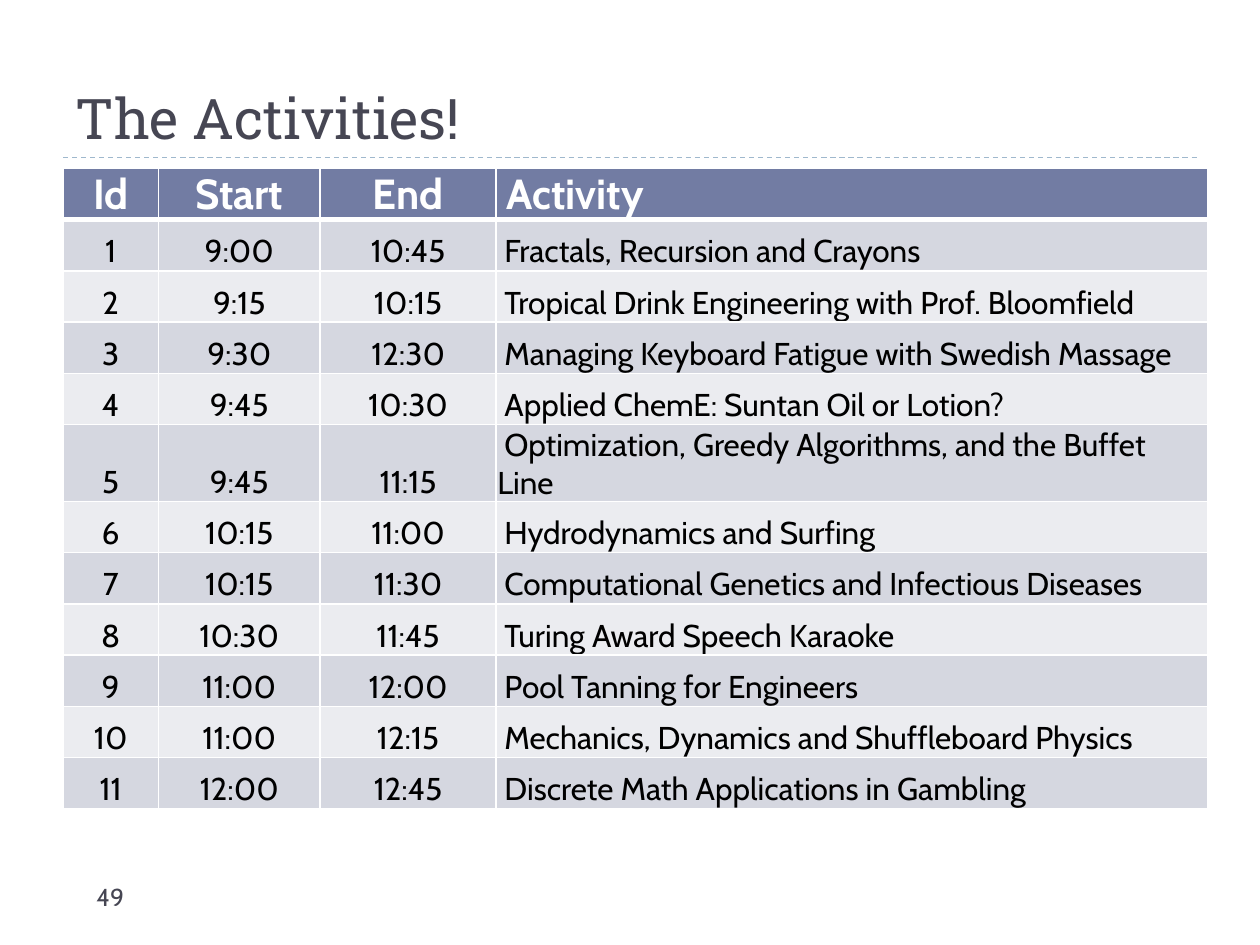
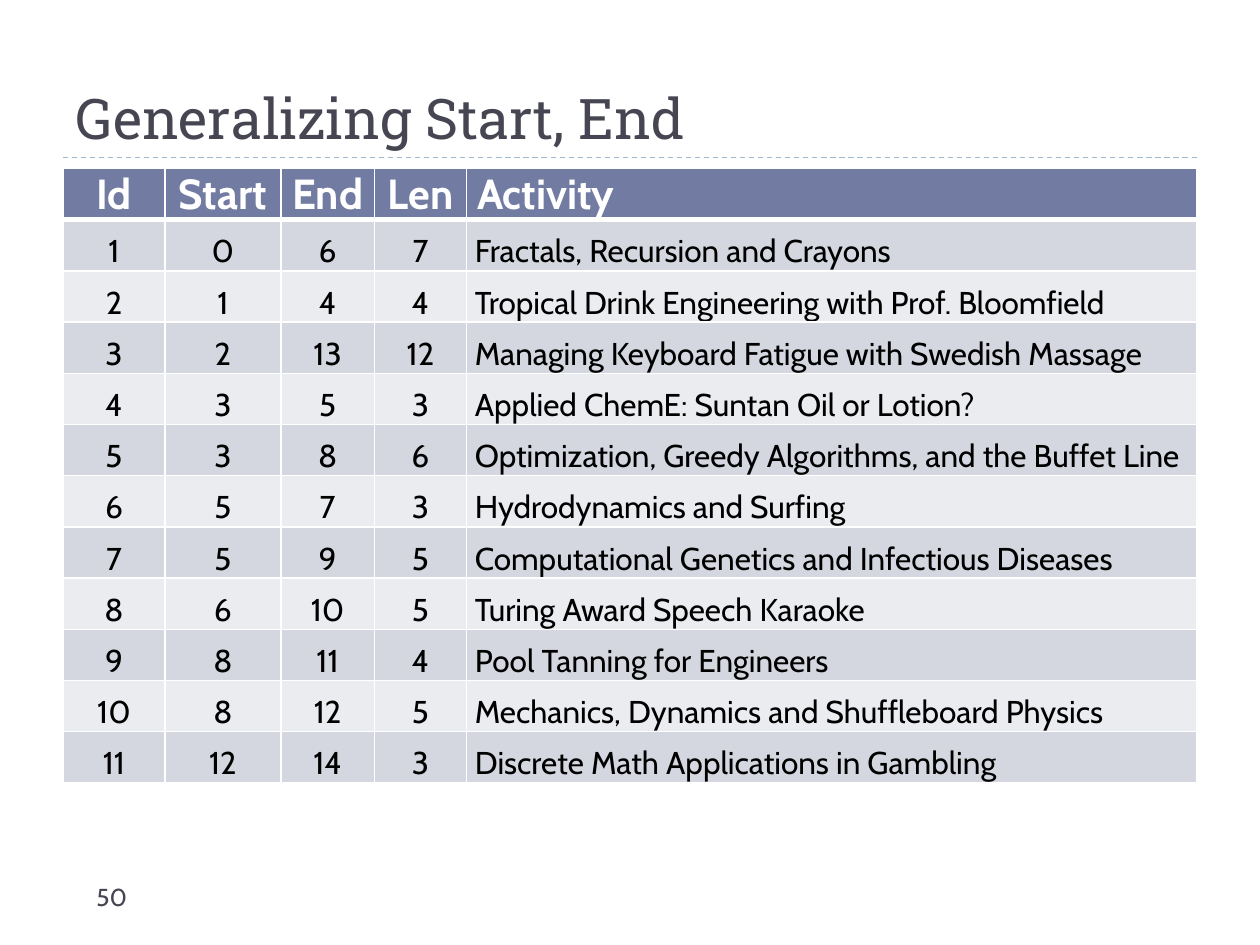
"""Builds two slides that list activities by clock time and by quarter-hour slot."""
from lxml.etree import SubElement
from pptx import Presentation
from pptx.dml.color import RGBColor
from pptx.enum.dml import MSO_LINE
from pptx.enum.shapes import MSO_CONNECTOR
from pptx.enum.text import MSO_ANCHOR, PP_ALIGN
from pptx.oxml.ns import qn
from pptx.util import Pt

ACTIVITIES = [
    ("9:00", "10:45", "Fractals, Recursion and Crayons"),
    ("9:15", "10:15", "Tropical Drink Engineering with Prof. Bloomfield"),
    ("9:30", "12:30", "Managing Keyboard Fatigue with Swedish Massage"),
    ("9:45", "10:30", "Applied ChemE: Suntan Oil or Lotion?"),
    ("9:45", "11:15", "Optimization, Greedy Algorithms, and the Buffet Line"),
    ("10:15", "11:00", "Hydrodynamics and Surfing"),
    ("10:15", "11:30", "Computational Genetics and Infectious Diseases"),
    ("10:30", "11:45", "Turing Award Speech Karaoke"),
    ("11:00", "12:00", "Pool Tanning for Engineers"),
    ("11:00", "12:15", "Mechanics, Dynamics and Shuffleboard Physics"),
    ("12:00", "12:45", "Discrete Math Applications in Gambling"),
]
CLOCK_HEADINGS = ["Id", "Start", "End", "Activity"]
SLOT_HEADINGS = ["Id", "Start", "End", "Len", "Activity"]
CLOCK_WIDTHS = [54.5, 92.5, 100.5, 406.8]
SLOT_WIDTHS = [58.3, 66.2, 53.5, 52.6, 417.4]

INK, RULE, WHITE, BLACK = "464653", "9FB8CD", "FFFFFF", "000000"
HEADING_FILL, ROW_FILLS = "727CA3", ("D5D7E0", "EBECF0")
TITLE_FONT, TEXT_FONT = "Roboto Slab", "Cabin"
LEFT, RULE_TOP, RULE_WIDTH = 36, 90, 648
SCHEDULE_TOP, ROW_HEIGHT = 96, 29.28


def color(hex_value):
    """Turn a hex string into a colour."""
    return RGBColor.from_string(hex_value)


def write(frame, text, size=18, font=TEXT_FONT, ink=INK, bold=False, align=PP_ALIGN.LEFT):
    """Write one formatted paragraph into a text frame."""
    paragraph = frame.paragraphs[0]
    paragraph.alignment = align
    run = paragraph.add_run()
    run.text = text
    run.font.size, run.font.name, run.font.bold = Pt(size), font, bold
    run.font.color.rgb = color(ink)


def add_borders(cell, bottom):
    """Draw white borders, the lower one with its own width."""
    properties = cell._tc.get_or_add_tcPr()
    for side, width in (("lnL", 1), ("lnR", 1), ("lnT", 1), ("lnB", bottom)):
        border = SubElement(properties, qn(f"a:{side}"), w=str(Pt(width)))
        SubElement(SubElement(border, qn("a:solidFill")), qn("a:srgbClr"), val=WHITE)


def slot(time):
    """Count the quarter hours from 9:00 to a clock time."""
    hours, minutes = map(int, time.split(":"))
    return (hours - 9) * 4 + minutes // 15


def clock_rows():
    """List the activities with their clock times."""
    return [(number, *activity) for number, activity in enumerate(ACTIVITIES, 1)]


def slot_rows():
    """List the activities with first slot, last slot and length."""
    rows = []
    for number, start, end, activity in clock_rows():
        first, last = slot(start), slot(end) - 1
        rows.append((number, first, last, last - first + 1, activity))
    return rows


def add_schedule(slide, headings, rows, widths):
    """Add the table of activities."""
    frame = slide.shapes.add_table(len(rows) + 1, len(widths), Pt(LEFT), Pt(SCHEDULE_TOP),
                                   Pt(sum(widths)), Pt(ROW_HEIGHT * (len(rows) + 1)))
    schedule = frame.table
    schedule.horz_banding = False
    for column, width in zip(schedule.columns, widths):
        column.width = Pt(width)
    for r, entries in enumerate([headings, *rows]):
        schedule.rows[r].height = Pt(ROW_HEIGHT)
        heading = r == 0
        look = dict(size=24, ink=WHITE, bold=True) if heading else dict(ink=BLACK)
        for c, entry in enumerate(entries):
            cell = schedule.cell(r, c)
            cell.margin_left = cell.margin_right = cell.margin_top = Pt(0.75)
            cell.margin_bottom = 0
            cell.vertical_anchor = MSO_ANCHOR.BOTTOM
            add_borders(cell, 3 if heading else 1)
            cell.fill.solid()
            cell.fill.fore_color.rgb = color(HEADING_FILL if heading else ROW_FILLS[(r - 1) % 2])
            if c == len(widths) - 1:
                write(cell.text_frame, f" {entry}", **look)
            else:
                write(cell.text_frame, str(entry), align=PP_ALIGN.CENTER, **look)


def add_slide(deck, title, number):
    """Add a slide with its title, dashed rule and page number."""
    slide = deck.slides.add_slide(deck.slide_layouts[5])
    heading = slide.shapes.title
    heading.left, heading.top, heading.width, heading.height = Pt(LEFT), Pt(12), Pt(RULE_WIDTH), Pt(78)
    heading.text_frame.vertical_anchor = MSO_ANCHOR.BOTTOM
    write(heading.text_frame, title, size=32, font=TITLE_FONT)

    rule = slide.shapes.add_connector(MSO_CONNECTOR.STRAIGHT, Pt(LEFT), Pt(RULE_TOP),
                                      Pt(LEFT + RULE_WIDTH), Pt(RULE_TOP))
    rule.line.color.rgb = color(RULE)
    rule.line.width = Pt(0.75)
    rule.line.dash_style = MSO_LINE.DASH
    SubElement(rule._element.spPr, qn("a:effectLst"))

    page = slide.shapes.add_textbox(Pt(48), Pt(500.4), Pt(156), Pt(28.8))
    page.text_frame.word_wrap = True
    write(page.text_frame, str(number), size=14)
    return slide


def main():
    """Build and save the deck."""
    deck = Presentation()
    deck.slide_width, deck.slide_height = Pt(720), Pt(540)
    pages = [
        ("The Activities!", CLOCK_HEADINGS, clock_rows(), CLOCK_WIDTHS),
        ("Generalizing Start, End", SLOT_HEADINGS, slot_rows(), SLOT_WIDTHS),
    ]
    for number, (title, *schedule) in enumerate(pages, 49):
        add_schedule(add_slide(deck, title, number), *schedule)
    deck.save("out.pptx")


if __name__ == "__main__":
    main()
